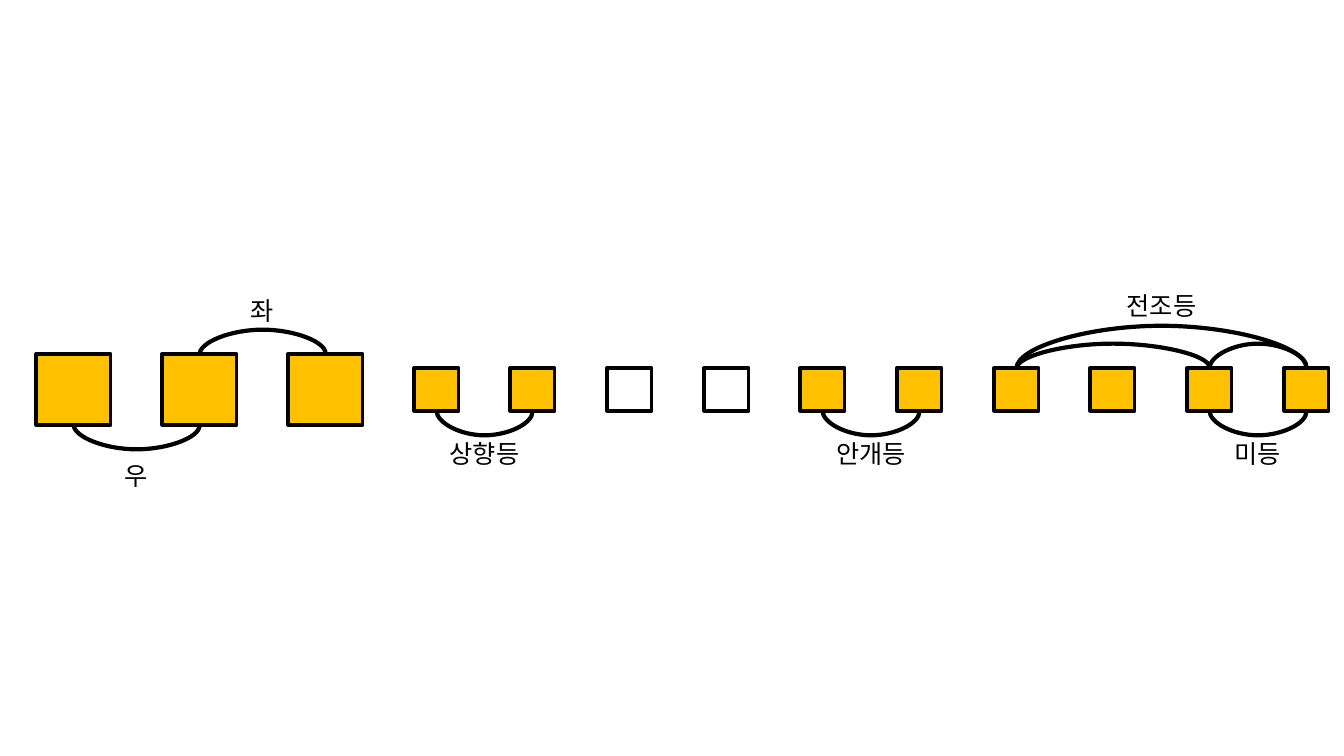
from dataclasses import dataclass

from lxml.etree import SubElement
from pptx import Presentation
from pptx.dml.color import RGBColor
from pptx.enum.shapes import MSO_CONNECTOR, MSO_SHAPE
from pptx.enum.text import MSO_ANCHOR, MSO_AUTO_SIZE, PP_ALIGN
from pptx.oxml.ns import qn
from pptx.util import Pt

SCALE = 914400 / 100.8
FACE = "Noto Sans CJK KR"
BLACK = "000000"
AMBER = "FFC000"


@dataclass
class Lamp:
    """A square lamp, filled when lit."""
    left: int
    top: int
    width: int
    height: int
    lit: bool = True

    @property
    def mid(self) -> float:
        """Give the middle of the lamp from left to right."""
        return self.left + self.width / 2


@dataclass
class Wire:
    """A curved wire that joins two lamps, with a label if it has one."""
    start: Lamp
    end: Lamp
    above: bool
    text: str = ""
    top: int = 0
    depth: int = 25


def emu(pixels: float) -> int:
    """Turn pixels into EMU."""
    return round(pixels * SCALE)


def tint(code: str) -> RGBColor:
    """Turn a hex string into a colour."""
    return RGBColor.from_string(code)


def apply(target: object, values: dict) -> None:
    """Set each format value on the target."""
    for name, value in values.items():
        setattr(target, name, value)


def stroke(line: object, points: float) -> None:
    """Give a line its colour and width."""
    line.color.rgb = tint(BLACK)
    line.width = Pt(points)


def draw_lamp(shapes: object, lamp: Lamp) -> None:
    """Draw one lamp."""
    box = shapes.add_shape(MSO_SHAPE.RECTANGLE, emu(lamp.left), emu(lamp.top),
                           emu(lamp.width), emu(lamp.height))
    box.shadow.inherit = False
    if lamp.lit:
        box.fill.solid()
        box.fill.fore_color.rgb = tint(AMBER)
    else:
        box.fill.background()
    stroke(box.line, 2.25)


def draw_wire(shapes: object, wire: Wire) -> None:
    """Draw a curve one pixel thin, turned on its side and bent by its depth."""
    mid = (wire.start.mid + wire.end.mid) / 2
    half = (wire.end.mid - wire.start.mid) / 2
    edge = wire.start.top + (0 if wire.above else wire.start.height)
    rise = half if wire.above else -half
    curve = shapes.add_connector(MSO_CONNECTOR.CURVE, emu(mid + 0.5), emu(edge + rise),
                                 emu(mid - 0.5), emu(edge - rise))
    props = curve.element.spPr
    props.find(qn("a:xfrm")).set("rot", str((90 if wire.above else 270) * 60000))
    bend = props.find(qn("a:prstGeom")).find(qn("a:avLst"))
    SubElement(bend, qn("a:gd"), name="adj1", fmla=f"val {wire.depth * 100000}")
    stroke(curve.line, 3)
    SubElement(props, qn("a:effectLst"))
    if wire.text:
        draw_label(shapes, wire.text, mid, wire.top)


def draw_label(shapes: object, text: str, mid: float, top: int) -> None:
    """Write a label centred on the middle of its wire."""
    width = 20 + 26 * len(text)
    box = shapes.add_textbox(emu(mid - width / 2), emu(top), emu(width), emu(40))
    apply(box.text_frame, {"word_wrap": False, "auto_size": MSO_AUTO_SIZE.SHAPE_TO_FIT_TEXT,
                           "vertical_anchor": MSO_ANCHOR.TOP})
    para = box.text_frame.paragraphs[0]
    para.alignment = PP_ALIGN.CENTER
    run = para.add_run()
    run.text = text
    apply(run.font, {"size": Pt(18), "name": FACE})
    run.font.color.rgb = tint(BLACK)
    SubElement(run.font.color and run._r.get_or_add_rPr(), qn("a:ea"), typeface=FACE)


def main() -> None:
    """Build the slide and save it."""
    deck = Presentation()
    apply(deck, {"slide_width": emu(1344), "slide_height": emu(756)})
    shapes = deck.slides.add_slide(deck.slide_layouts[6]).shapes

    turn = [Lamp(36 + 126 * i, 354, 75, 71) for i in range(3)]
    front = [Lamp(414 + 290 * i // 3, 368, 45, 43, i not in (2, 3)) for i in range(10)]
    wires = [
        Wire(turn[1], turn[2], True, "좌", 290),
        Wire(turn[0], turn[1], False, "우", 455),
        Wire(front[0], front[1], False, "상향등", 433),
        Wire(front[4], front[5], False, "안개등", 433),
        Wire(front[8], front[9], True),
        Wire(front[8], front[9], False, "미등", 433),
        Wire(front[6], front[8], True),
        Wire(front[6], front[9], True, "전조등", 285, 43),
    ]
    for lamp in turn + front:
        draw_lamp(shapes, lamp)
    for wire in wires:
        draw_wire(shapes, wire)
    deck.save("out.pptx")


main()
